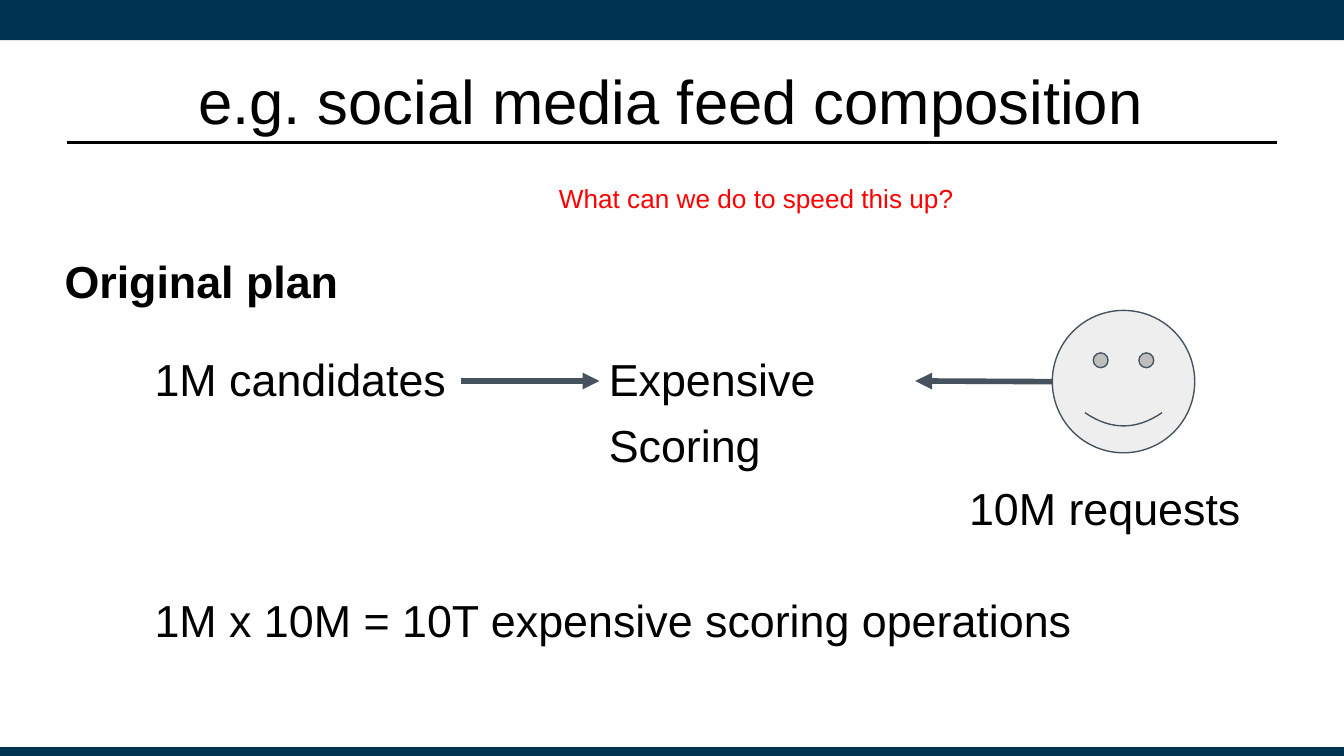
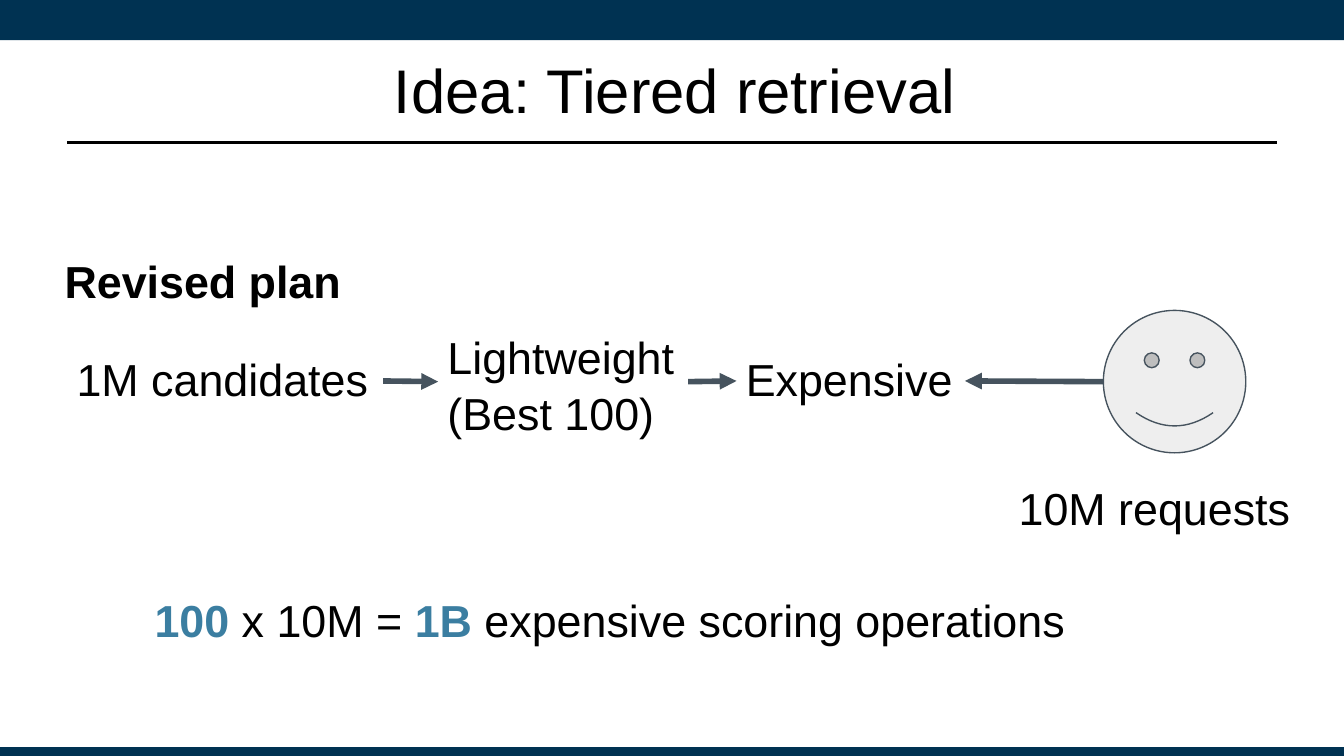
import dataclasses

import lxml.etree
import pptx
import pptx.dml.color
import pptx.enum.shapes
import pptx.enum.text
import pptx.oxml.ns
import pptx.util

SHAPES = pptx.enum.shapes.MSO_SHAPE
FITTING = pptx.enum.text.MSO_AUTO_SIZE


def px(count):
    """Turn px, a hundred to the inch, into EMU."""
    return pptx.util.Emu(count * 9144)


def rgb(value):
    """Turn a hex string into a colour."""
    return pptx.dml.color.RGBColor.from_string(value)


@dataclasses.dataclass(frozen=True)
class Theme:
    """Colours and type sizes of the deck."""
    font: str = "Arial"
    band: str = "003252"
    ink: str = "000000"
    slate: str = "46535E"
    pale: str = "EEEEEE"
    accent: str = "3B7EA1"
    alert: str = "FF0000"
    title_size: int = 33
    body_size: int = 24
    note_size: int = 14


THEME = Theme()


def write(box, paragraphs, size=THEME.body_size, color=THEME.ink, bold=False,
          align=None, anchor=pptx.enum.text.MSO_ANCHOR.TOP, before=0,
          spacing=1.0, insets=(7, 4), fit=FITTING.NONE):
    """Fill a box with paragraphs, each a list of (text, overrides) spans."""
    frame = box.text_frame
    frame.word_wrap = True
    frame.auto_size = fit
    frame.vertical_anchor = anchor
    frame.margin_left = frame.margin_right = px(insets[0])
    frame.margin_top = frame.margin_bottom = px(insets[1])
    for index, spans in enumerate(paragraphs):
        para = frame.add_paragraph() if index else frame.paragraphs[0]
        para.alignment = align
        para.space_before = pptx.util.Pt(before)
        para.line_spacing = spacing
        for text, overrides in spans:
            style = {"color": color, "bold": bold, **overrides}
            span = para.add_run()
            span.text = text
            span.font.name = THEME.font
            span.font.size = pptx.util.Pt(size)
            span.font.bold = style["bold"]
            span.font.color.rgb = rgb(style["color"])


class Painter:
    """Holds the deck, its theme and the current page."""

    def __init__(self, theme):
        """Start an empty widescreen deck."""
        self.theme = theme
        self.deck = pptx.Presentation()
        self.deck.slide_width = px(1000)
        self.deck.slide_height = px(1000) * 9 // 16
        self.page = None

    def start_page(self, title, left, top, width):
        """Add a page with bands, title rule and title."""
        self.page = self.deck.slides.add_slide(self.deck.slide_layouts[5])
        for band_top, height in ((0, 30), (556, 7)):
            self.shape(SHAPES.RECTANGLE, 0, band_top, 1000, height, self.theme.band)
        self.line((50, 106), (950, 106), self.theme.ink, 1.25)
        box = self.page.shapes.title
        box.left, box.top, box.width, box.height = map(px, (left, top, width, 70))
        write(box, [[(title, {})]], size=self.theme.title_size,
              align=pptx.enum.text.PP_ALIGN.CENTER,
              anchor=pptx.enum.text.MSO_ANCHOR.MIDDLE)

    def shape(self, kind, left, top, width, height, fill, outline=None):
        """Draw a filled preset shape."""
        shape = self.page.shapes.add_shape(kind, *map(px, (left, top, width, height)))
        shape.shadow.inherit = False
        shape.fill.solid()
        shape.fill.fore_color.rgb = rgb(fill)
        if outline:
            shape.line.color.rgb = rgb(outline)
            shape.line.width = pptx.util.Pt(0.75)
        else:
            shape.line.fill.background()
        return shape

    def line(self, start, end, color, weight):
        """Draw a straight connector without a shadow."""
        line = self.page.shapes.add_connector(
            pptx.enum.shapes.MSO_CONNECTOR.STRAIGHT, *map(px, (*start, *end)))
        line.line.color.rgb = rgb(color)
        line.line.width = pptx.util.Pt(weight)
        lxml.etree.SubElement(line._element.spPr, pptx.oxml.ns.qn("a:effectLst"))
        return line

    def arrow(self, target, side, source=None, start=(0, 0)):
        """Draw an arrow to a side of a box, from a box or a point."""
        arrow = self.line(start, start, self.theme.slate, 3)
        if source is not None:
            arrow.begin_connect(source, 3)
        arrow.end_connect(target, side)
        lxml.etree.SubElement(arrow.line._get_or_add_ln(),
                              pptx.oxml.ns.qn("a:tailEnd"), type="triangle")

    def text(self, paragraphs, left, top, width, height=55, **style):
        """Place body text; plain strings become one-span paragraphs."""
        box = self.page.shapes.add_textbox(*map(px, (left, top, width, height)))
        spans = [[(item, {})] if isinstance(item, str) else item for item in paragraphs]
        write(box, spans, **{"before": 5, "spacing": 1.05, **style})
        return box

    def user(self, left, label_left, target):
        """Draw the smiling user, its label and its arrow to a box."""
        self.shape(SHAPES.SMILEY_FACE, left, 231, 106, 106,
                   self.theme.pale, self.theme.slate)
        self.text(["10M requests"], label_left, 352, 246)
        self.arrow(target, 3, start=(left, 284))

    def plan(self, heading, total):
        """Write the plan heading and its cost line."""
        self.text([heading], 41, 183, 235, bold=True)
        self.text([total], 108, 435, 717)


def main():
    """Build and save the deck."""
    painter = Painter(THEME)

    painter.start_page("e.g. social media feed composition", 38, 39, 922)
    painter.plan("Original plan", "1M x 10M = 10T expensive scoring operations")
    candidates = painter.text(["1M candidates"], 108, 256, 235)
    scoring = painter.text(["Expensive", "Scoring"], 446, 256, 235)
    painter.arrow(scoring, 1, candidates)
    painter.user(783, 714, scoring)
    painter.text(["What can we do to speed this up?"], 406, 126, 568, 44,
                 size=THEME.note_size, color=THEME.alert, before=0, spacing=1.0,
                 insets=(10, 10), fit=FITTING.SHAPE_TO_FIT_TEXT)

    painter.start_page("Idea: Tiered retrieval", 54, 31, 896)
    strong = {"color": THEME.accent, "bold": True}
    painter.plan("Revised plan", [("100", strong), (" x 10M = ", {}), ("1B", strong),
                                  (" expensive scoring operations", {})])
    candidates = painter.text(["1M candidates"], 50, 256, 235)
    filtering = painter.text(["Lightweight (Best 100)"], 326, 239, 186, 90)
    scoring = painter.text(["Expensive"], 548, 256, 170)
    painter.arrow(filtering, 1, candidates)
    painter.arrow(scoring, 1, filtering)
    painter.user(821, 751, scoring)

    painter.deck.save("out.pptx")


if __name__ == "__main__":
    main()
